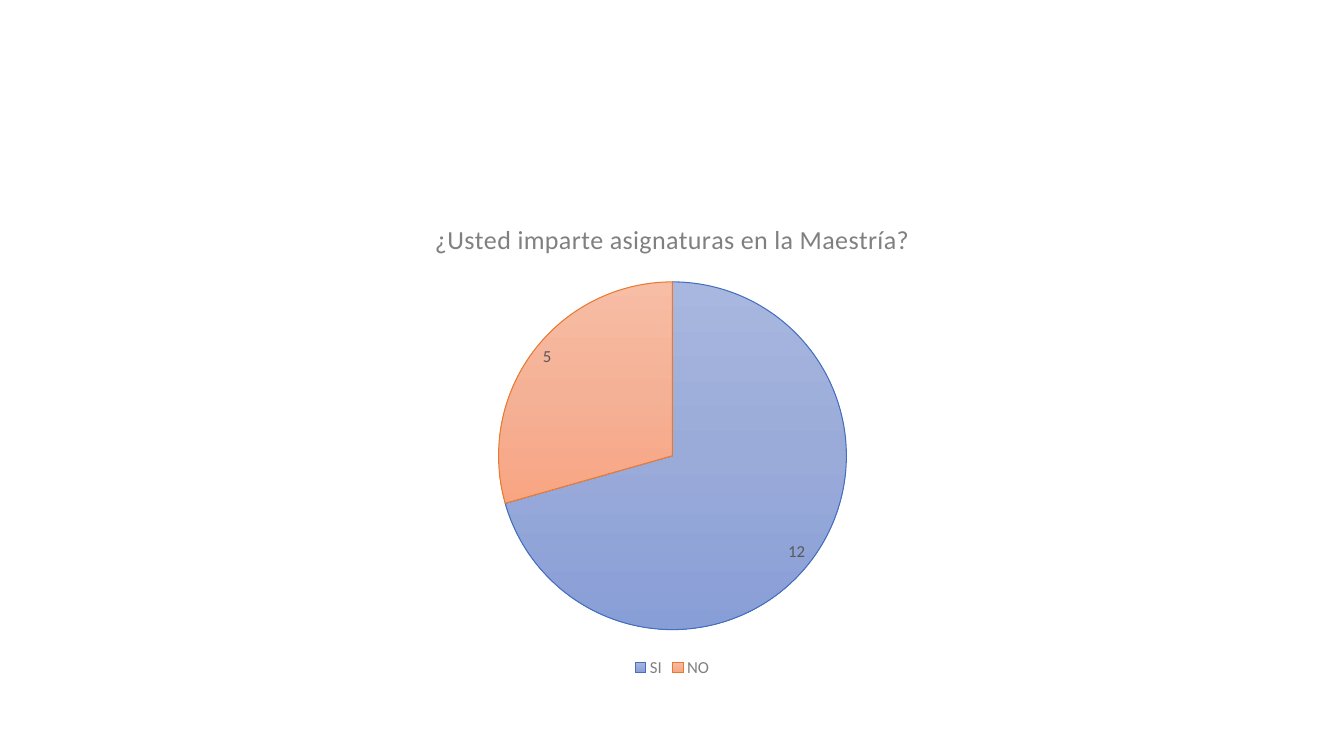
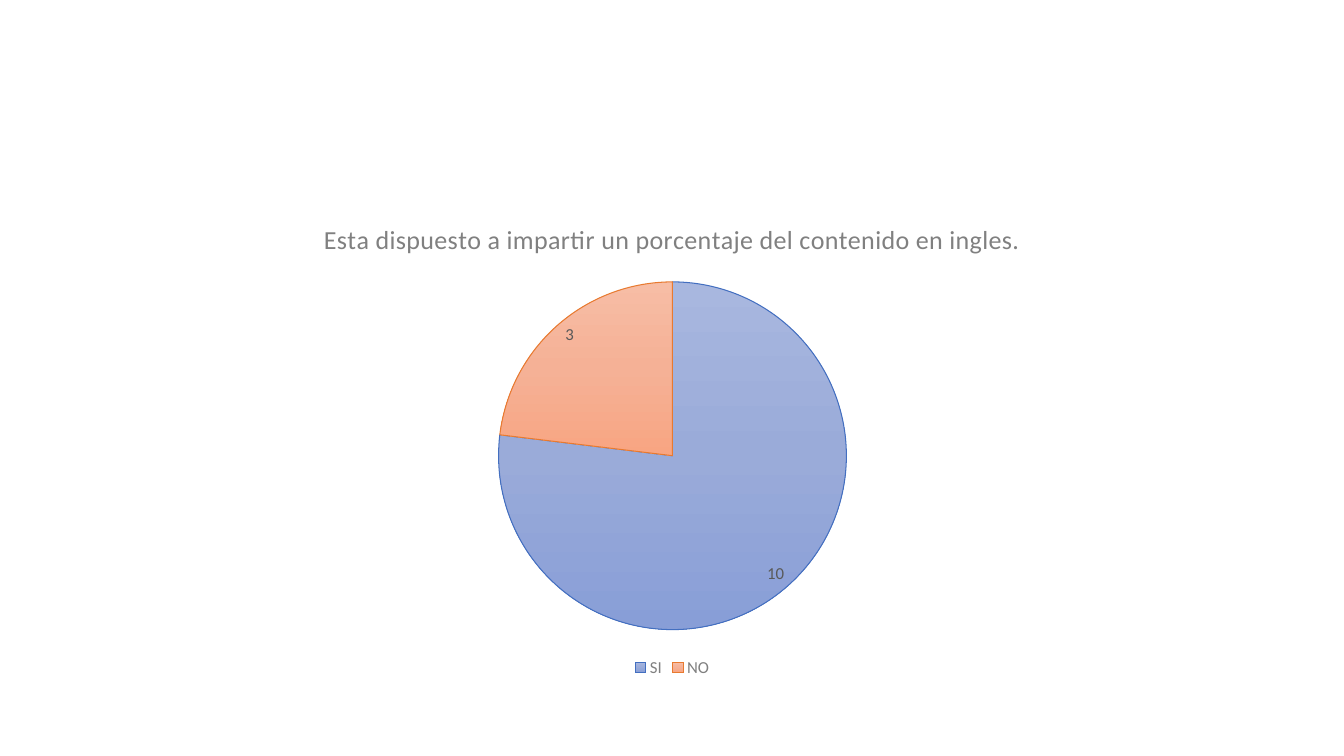
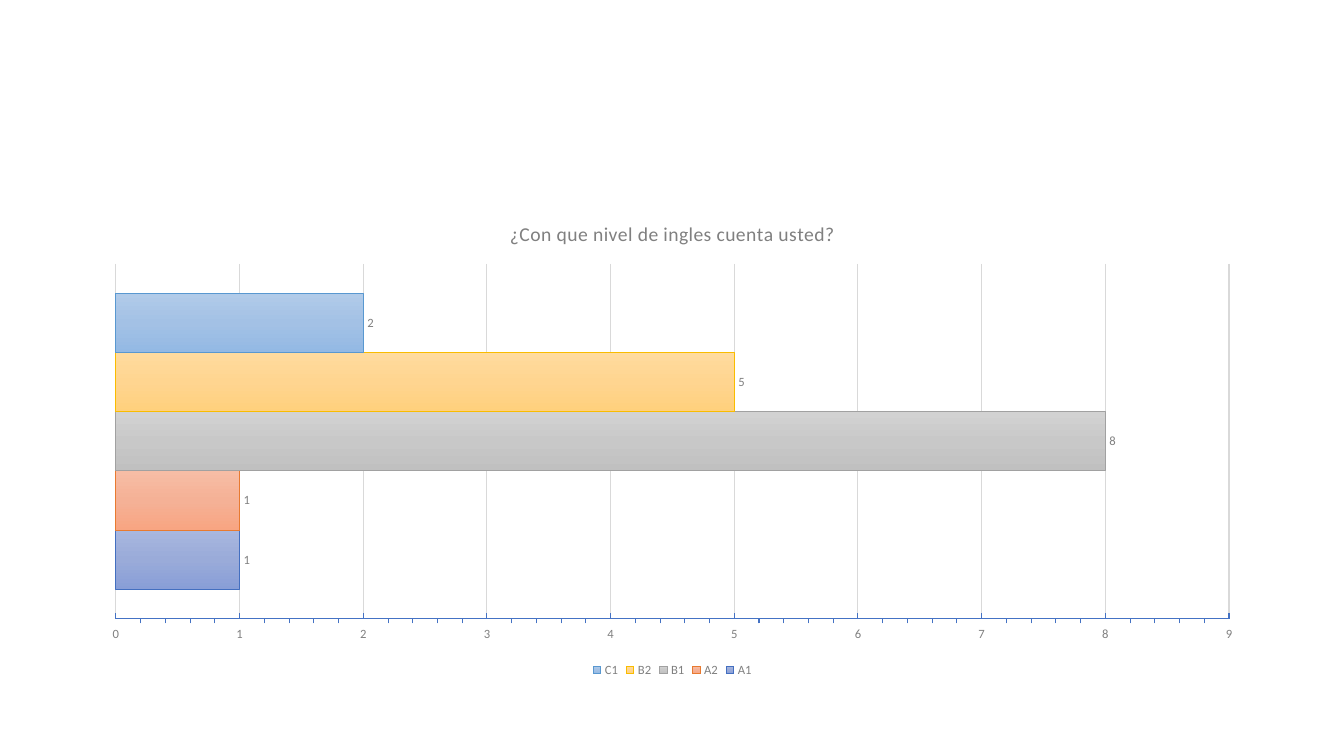
from copy import deepcopy
from lxml import etree
from pptx import Presentation
from pptx.chart.data import CategoryChartData
from pptx.dml.color import RGBColor
from pptx.enum import chart as kinds
from pptx.oxml import ns
from pptx.util import Inches, Pt

FACE = "Calibri"
INK = {"text": "808080", "label": "595959", "axis": "4472C4", "grid": "D9D9D9"}
# Line colour, then the gradient from top to bottom
FILLS = {
    "blue": ("436FC0", "A8B7DF", "9AABD9", "889ED7"),
    "orange": ("E87A30", "F7BDA5", "F5B196", "F8A582"),
    "grey": ("A1A1A1", "D2D2D2", "C8C8C8", "C0C0C0"),
    "gold": ("F9BC00", "FFDB9E", "FFD590", "FFD07C"),
    "sky": ("5998D0", "B1CBE9", "A3C1E5", "93B9E4"),
}
PIE, BAR = kinds.XL_CHART_TYPE.PIE, kinds.XL_CHART_TYPE.BAR_CLUSTERED
SPOT, TICK = kinds.XL_LABEL_POSITION, kinds.XL_TICK_MARK

# Per kind: sizes, label colour and place, plot area as shares of the chart
LOOKS = {
    PIE: {"head": 18.62, "size": 12, "label": "label", "spot": SPOT.BEST_FIT,
          "area": {"x": 0.35, "y": 0.16, "w": 0.3, "h": 0.74}},
    BAR: {"head": 14, "size": 9, "label": "text", "spot": SPOT.OUTSIDE_END,
          "area": {"x": 0.02, "y": 0.13, "w": 0.96, "h": 0.74}},
}
SLIDES = [
    (PIE, "¿Usted imparte asignaturas en la Maestría?",
     ["SI", "NO"], {"Series 1": [12, 5]}),
    (PIE, "Esta dispuesto a impartir un porcentaje del contenido en ingles.",
     ["SI", "NO"], {"Series 1": [10, 3]}),
    (BAR, "¿Con que nivel de ingles cuenta usted?",
     ["1"], {"A1": [1], "A2": [1], "B1": [8], "B2": [5], "C1": [2]}),
]


def write(frame, text, size=14, color="text", gap=20):
    run = frame.paragraphs[0].add_run()
    run.text = text
    run.font.name, run.font.size, run.font.bold = FACE, Pt(size), False
    run.font.color.rgb = RGBColor.from_string(INK[color])
    run.font._element.set("spc", str(gap))


def paint(part, name):
    edge, *shades = FILLS[name]
    fill = part.format.fill
    fill.gradient()
    fill.gradient_angle = 270
    first = fill.gradient_stops[0]._gs
    first.addnext(deepcopy(first))
    for stop, shade, place in zip(fill.gradient_stops, shades, (0, 0.5, 1)):
        stop.color.rgb = RGBColor.from_string(shade)
        stop.position = place
    part.format.line.color.rgb = RGBColor.from_string(edge)
    part.format.line.width = Pt(0.75)


deck = Presentation()
deck.slide_width, deck.slide_height = Inches(13.33), Inches(7.5)

for kind, title, cats, rows in SLIDES:
    look = LOOKS[kind]
    slide = deck.slides.add_slide(deck.slide_layouts[6])

    # Chart and its text
    data = CategoryChartData()
    data.categories = cats
    for name, vals in rows.items():
        data.add_series(name, vals)
    chart = slide.shapes.add_chart(kind, Inches(0.92), Inches(2), Inches(11.5),
                                   Inches(4.76), data).chart
    chart.font.name, chart.font.size = FACE, Pt(look["size"])
    chart.font.color.rgb = RGBColor.from_string(INK["text"])
    chart.has_title = True
    write(chart.chart_title.text_frame, title, size=look["head"])
    chart.has_legend = True
    chart.legend.position = kinds.XL_LEGEND_POSITION.BOTTOM
    chart.legend.include_in_layout = False

    # Plot area
    area = chart._chartSpace.find(".//" + ns.qn("c:plotArea"))
    for old in area.findall(ns.qn("c:layout")):
        area.remove(old)
    layout = etree.Element(ns.qn("c:layout"))
    manual = etree.SubElement(layout, ns.qn("c:manualLayout"))
    modes = {"layoutTarget": "inner", "xMode": "edge", "yMode": "edge"}
    for tag, val in {**modes, **look["area"]}.items():
        etree.SubElement(manual, ns.qn("c:" + tag)).set("val", str(val))
    area.insert(0, layout)

    # Value labels
    plot = chart.plots[0]
    plot.vary_by_categories = kind == PIE
    for row in plot.series:
        tags = row.data_labels
        tags.show_value = True
        tags.position = look["spot"]
        tags.font.name, tags.font.size = FACE, Pt(look["size"])
        tags.font.color.rgb = RGBColor.from_string(INK[look["label"]])

    # Slices or bars
    if kind == PIE:
        parts = [plot.series[0].points[i] for i in range(len(cats))]
    else:
        parts = plot.series
    for part, name in zip(parts, FILLS):
        paint(part, name)

    # Axes
    if kind == BAR:
        plot.gap_width = 100
        chart.category_axis.visible = False
        axis = chart.value_axis
        axis.minimum_scale, axis.maximum_scale = 0, 9
        axis.major_unit, axis.minor_unit = 1, 0.2
        axis.major_tick_mark, axis.minor_tick_mark = TICK.INSIDE, TICK.OUTSIDE
        for line, color in ((axis.format.line, "axis"),
                            (axis.major_gridlines.format.line, "grid")):
            line.color.rgb = RGBColor.from_string(INK[color])
            line.width = Pt(0.75)

deck.save("out.pptx")
